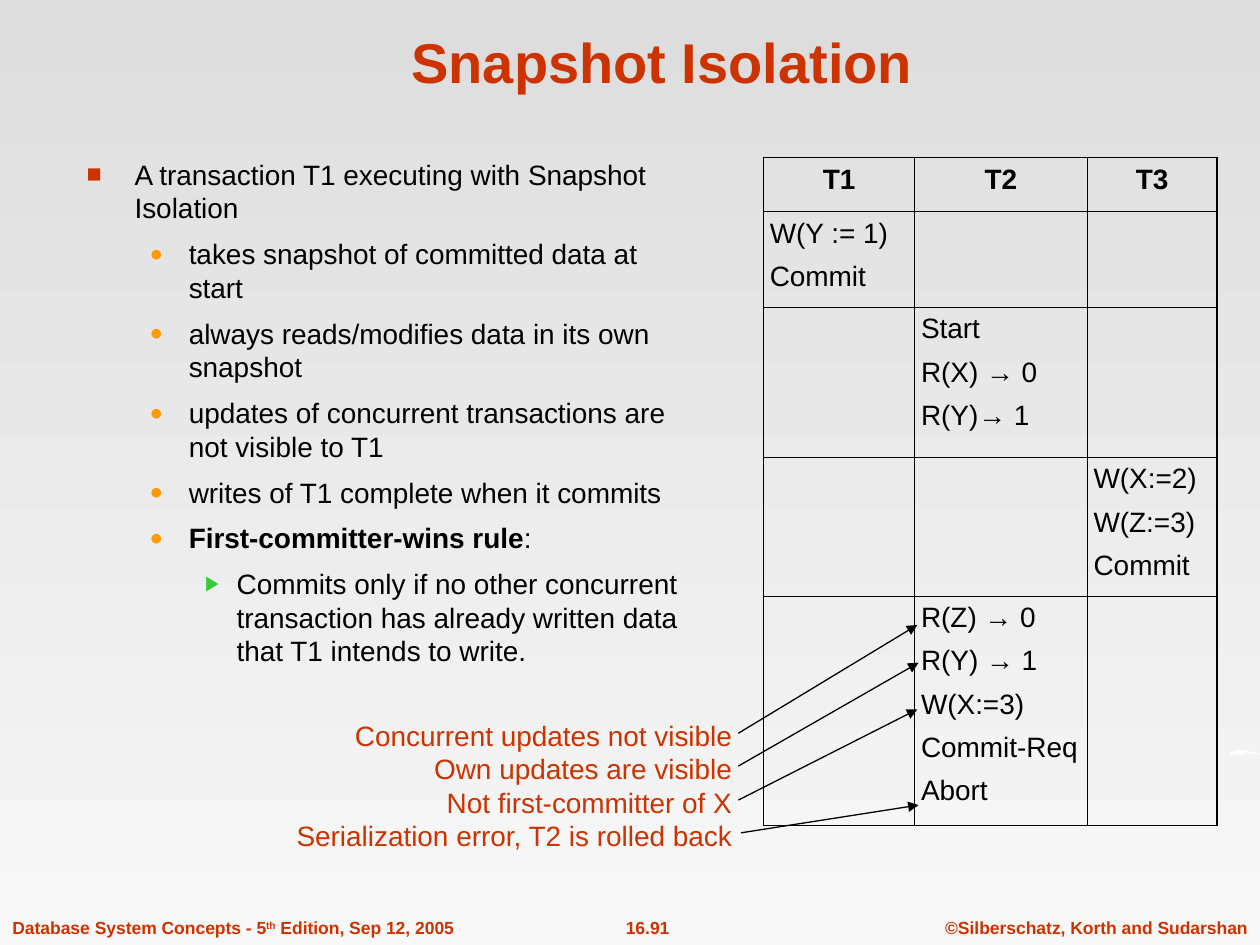
import pptx
import pptx.dml.color
import pptx.enum.dml
import pptx.enum.shapes
import pptx.enum.text
import pptx.oxml.ns
import pptx.util
from lxml import etree
from pptx.util import Inches

RGBColor = pptx.dml.color.RGBColor
Alignment = pptx.enum.text.PP_ALIGN
Anchor = pptx.enum.text.MSO_ANCHOR

RED = RGBColor(0xCC, 0x33, 0x00)
ORANGE = RGBColor(0xFF, 0x99, 0x00)
GREEN = RGBColor(0x33, 0xCC, 0x33)
BLACK = RGBColor(0, 0, 0)
WHITE = RGBColor(255, 255, 255)
BACKGROUND_TOP = RGBColor(0xDD, 0xDD, 0xDD)
BACKGROUND_BOTTOM = RGBColor(0xF8, 0xF8, 0xF8)

FONT = "Arial"
PARAGRAPH_GAP = 7

BULLET_LEVELS = [
    ("■", RED, 90, 0.38, 0.38),
    ("●", ORANGE, 80, 0.81, 0.31),
    ("▶", GREEN, 75, 1.19, 0.25),
]
BULLETS = [
    (0, ["A transaction T1 executing with Snapshot Isolation"]),
    (1, ["takes snapshot of committed data at start"]),
    (1, ["always reads/modifies data in its own snapshot"]),
    (1, ["updates of concurrent transactions are not visible to T1"]),
    (1, ["writes of T1 complete when it commits"]),
    (1, ["First-committer-wins rule", ":"]),
    (2, ["Commits only if no other concurrent transaction has already "
         "written data that T1 intends to write."]),
]

COLUMN_WIDTHS = [1.2, 1.37, 1.03]
ROW_HEIGHTS = [0.43, 0.76, 1.19, 1.1, 1.82]
SCHEDULE = {
    (0, 0): ["T1"],
    (0, 1): ["T2"],
    (0, 2): ["T3"],
    (1, 0): ["W(Y := 1)", "Commit"],
    (2, 1): ["Start", "R(X) → 0", "R(Y)→ 1"],
    (3, 2): ["W(X:=2)", "W(Z:=3)", "Commit"],
    (4, 1): ["R(Z) → 0", "R(Y) → 1", "W(X:=3)", "Commit-Req", "Abort"],
}

NOTES = [
    "Concurrent updates not visible",
    "Own updates are visible",
    "Not first-committer of X",
    "Serialization error, T2 is rolled back",
]
ARROWS = [
    (5.86, 5.82, 7.28, 4.96),
    (5.86, 6.08, 7.29, 5.26),
    (5.86, 6.35, 7.28, 5.63),
    (5.88, 6.61, 7.29, 6.39),
]

SWOOSH = [
    (9.75, 6.01), (9.77, 5.97), (9.8, 5.96), (9.85, 5.95), (9.9, 5.96),
    (9.95, 5.97), (10, 5.98), (9.98, 5.99), (9.93, 5.98), (9.88, 5.97),
    (9.88, 6), (9.85, 5.97), (9.85, 6), (9.82, 5.97), (9.83, 6),
    (9.8, 5.98), (9.77, 5.99),
]


def add_xml(parent, tag, **attributes):
    return etree.SubElement(parent, pptx.oxml.ns.qn(tag), attributes)


def style_font(paragraph, size, color, bold=False):
    font = paragraph.font
    font.name = FONT
    font.size = pptx.util.Pt(size)
    font.color.rgb = color
    font.bold = bold


def add_text_frame(slide, box, wrap=True):
    frame = slide.shapes.add_textbox(*map(Inches, box)).text_frame
    frame.word_wrap = wrap
    return frame


def fill_paragraphs(frame, lines, size, color, alignment, bold=False, gap=0):
    for index, line in enumerate(lines):
        paragraph = frame.paragraphs[0] if index == 0 else frame.add_paragraph()
        paragraph.text = line
        paragraph.alignment = alignment
        if index and gap:
            paragraph.space_before = pptx.util.Pt(gap)
        style_font(paragraph, size, color, bold)


def set_background(slide):
    fill = slide.background.fill
    fill.gradient()
    fill.gradient_angle = 270
    for stop, color in zip(fill.gradient_stops, (BACKGROUND_TOP, BACKGROUND_BOTTOM)):
        stop.color.rgb = color


def place_title(slide, box):
    title = slide.shapes.title
    title.left, title.top, title.width, title.height = map(Inches, box)
    frame = title.text_frame
    frame.vertical_anchor = Anchor.BOTTOM
    frame.auto_size = pptx.enum.text.MSO_AUTO_SIZE.NONE
    fill_paragraphs(frame, ["Snapshot Isolation"], 32, RED, Alignment.CENTER, True)


def add_footer(slide, box, pieces, alignment):
    frame = add_text_frame(slide, box)
    paragraph = frame.paragraphs[0]
    paragraph.alignment = alignment
    style_font(paragraph, 10, RED, True)
    for text, baseline in pieces:
        run = paragraph.add_run()
        run.text = text
        if baseline:
            run._r.get_or_add_rPr().set("baseline", str(baseline * 1000))


def add_swoosh(slide, points):
    first, *rest = [(Inches(x), Inches(y)) for x, y in points]
    builder = slide.shapes.build_freeform(*first)
    builder.add_line_segments(rest, close=True)
    shape = builder.convert_to_shape()
    shape.shadow.inherit = False
    shape.fill.solid()
    shape.fill.fore_color.rgb = WHITE
    shape.line.fill.background()


def add_bullets(slide, box):
    frame = add_text_frame(slide, box)
    for index, (level, texts) in enumerate(BULLETS):
        paragraph = frame.paragraphs[0] if index == 0 else frame.add_paragraph()
        paragraph.level = level
        if index:
            paragraph.space_before = pptx.util.Pt(PARAGRAPH_GAP)
        symbol, color, percent, margin, hanging = BULLET_LEVELS[level]
        properties = paragraph._p.get_or_add_pPr()
        properties.set("marL", str(Inches(margin)))
        properties.set("indent", str(-Inches(hanging)))
        bullet_color = add_xml(properties, "a:buClr")
        add_xml(bullet_color, "a:srgbClr", val=str(color))
        add_xml(properties, "a:buSzPct", val=str(percent * 1000))
        add_xml(properties, "a:buFont", typeface=FONT)
        add_xml(properties, "a:buChar", char=symbol)
        style_font(paragraph, 16, BLACK)
        for text in texts:
            paragraph.add_run().text = text
        if len(texts) > 1:
            paragraph.runs[0].font.bold = True


def set_borders(cell, outer_sides):
    properties = cell._tc.get_or_add_tcPr()
    for position, side in enumerate(("a:lnL", "a:lnR", "a:lnT", "a:lnB")):
        width = pptx.util.Pt(1.08 if outer_sides[position] else 0.45)
        line = add_xml(properties, side, w=str(width))
        add_xml(add_xml(line, "a:solidFill"), "a:srgbClr", val=str(BLACK))


def add_schedule(slide, box):
    row_count, column_count = len(ROW_HEIGHTS), len(COLUMN_WIDTHS)
    table = slide.shapes.add_table(row_count, column_count, *map(Inches, box)).table
    table.first_row = table.horz_banding = False
    for column, width in zip(table.columns, COLUMN_WIDTHS):
        column.width = Inches(width)
    for row_index, height in enumerate(ROW_HEIGHTS):
        table.rows[row_index].height = Inches(height)
        header = row_index == 0
        for column_index in range(column_count):
            cell = table.cell(row_index, column_index)
            cell.margin_left = cell.margin_right = Inches(0.05)
            cell.margin_top = cell.margin_bottom = Inches(0.05)
            set_borders(cell, (column_index == 0, column_index == column_count - 1,
                               header, row_index == row_count - 1))
            cell.fill.background()
            fill_paragraphs(cell.text_frame, SCHEDULE.get((row_index, column_index), []),
                            16, BLACK, Alignment.CENTER if header else Alignment.LEFT,
                            header, PARAGRAPH_GAP)


def add_notes_on_steps(slide, box):
    frame = add_text_frame(slide, box, wrap=False)
    fill_paragraphs(frame, NOTES, 16, RED, Alignment.RIGHT)
    for ends in ARROWS:
        arrow = slide.shapes.add_connector(
            pptx.enum.shapes.MSO_CONNECTOR.STRAIGHT, *map(Inches, ends))
        arrow.line.color.rgb = BLACK
        arrow.line.width = pptx.util.Pt(0.75)
        add_xml(arrow.line._get_or_add_ln(), "a:tailEnd", type="triangle")
        add_xml(arrow._element.spPr, "a:effectLst")


def main():
    presentation = pptx.Presentation()
    presentation.slide_width, presentation.slide_height = Inches(10), Inches(7.5)
    slide = presentation.slides.add_slide(presentation.slide_layouts[5])
    set_background(slide)
    add_footer(slide, (7.2, 7.23, 2.8, 0.27),
               [("©Silberschatz, Korth and Sudarshan", 0)], Alignment.RIGHT)
    add_footer(slide, (4.61, 7.23, 1.06, 0.27), [("16.91", 0)], Alignment.CENTER)
    add_footer(slide, (0, 7.23, 4, 0.27),
               [("Database System Concepts - 5", 0), ("th", 30),
                (" Edition, Sep 12, 2005", 0)], Alignment.LEFT)
    add_swoosh(slide, SWOOSH)
    place_title(slide, (0.84, 0.13, 8.83, 0.67))
    add_bullets(slide, (0.59, 1.2, 4.97, 5.79))
    add_schedule(slide, (6.06, 1.25, 3.6, 5.3))
    add_notes_on_steps(slide, (2.24, 5.65, 3.67, 1.17))
    presentation.save("out.pptx")


if __name__ == "__main__":
    main()
